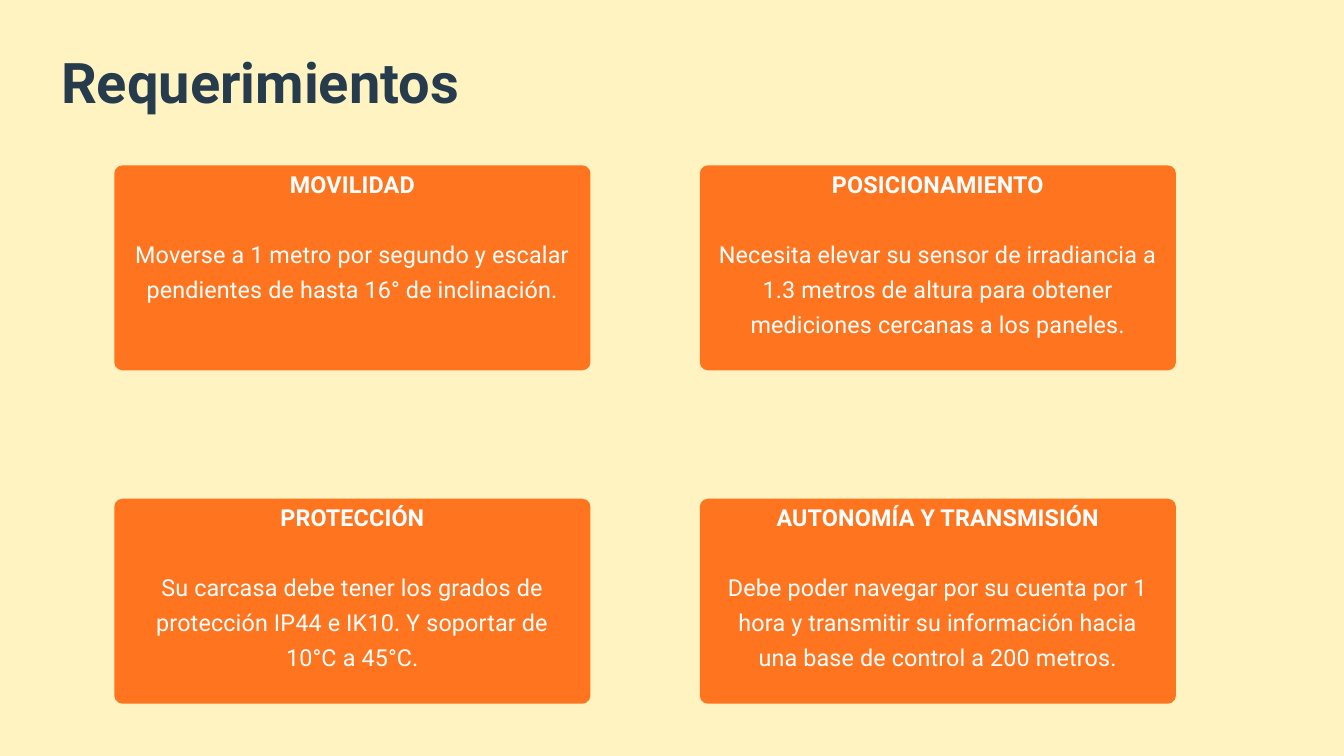
from pptx import Presentation
from pptx.dml.color import RGBColor
from pptx.enum.shapes import MSO_SHAPE
from pptx.enum.text import MSO_ANCHOR, PP_ALIGN
from pptx.util import Cm, Pt

CREAM = RGBColor(0xFF, 0xF3, 0xC2)
ORANGE = RGBColor(0xFF, 0x75, 0x1F)
NAVY = RGBColor(0x26, 0x3C, 0x4D)
WHITE = RGBColor(0xFF, 0xFF, 0xFF)
FONT = "Roboto"

REQUIREMENTS = [
    ("MOVILIDAD",
     "Moverse a 1 metro por segundo y escalar pendientes de hasta 16° de inclinación."),
    ("POSICIONAMIENTO",
     "Necesita elevar su sensor de irradiancia a 1.3 metros de altura para obtener "
     "mediciones cercanas a los paneles."),
    ("PROTECCIÓN",
     "Su carcasa debe tener los grados de protección IP44 e IK10. Y soportar de 10°C a 45°C."),
    ("AUTONOMÍA Y TRANSMISIÓN",
     "Debe poder navegar por su cuenta por 1 hora y transmitir su información hacia "
     "una base de control a 200 metros."),
]


def add_text_frame(shapes, left, top, width, height, inset):
    """Add a wrapping, top-anchored text box with equal insets."""
    tf = shapes.add_textbox(Cm(left), Cm(top), Cm(width), Cm(height)).text_frame
    tf.word_wrap = True
    tf.vertical_anchor = MSO_ANCHOR.TOP
    tf.margin_left = tf.margin_right = tf.margin_top = tf.margin_bottom = Cm(inset)
    return tf


def format_paragraph(p, size, line, color, bold, spacing=0):
    """Centre a paragraph and format its runs."""
    p.alignment = PP_ALIGN.CENTER
    p.line_spacing = Pt(line)
    for r in p.runs:
        r.font.name = FONT
        r.font.size = Pt(size)
        r.font.bold = bold
        r.font.color.rgb = color
        if spacing:
            r.font._element.set("spc", str(spacing))


def add_title(s, left, top, width, height):
    """Place the slide title in the given box."""
    tf = add_text_frame(s.shapes, left, top, width, height, 0)
    tf.text = "Requerimientos"
    format_paragraph(tf.paragraphs[0], 60, 99, NAVY, True)


def add_card(s, left, top, width, height, heading, body):
    """Place one requirement card with its heading and body."""
    shapes = s.shapes.add_group_shape().shapes
    sp = shapes.add_shape(MSO_SHAPE.ROUNDED_RECTANGLE,
                          Cm(left), Cm(top), Cm(width), Cm(height))
    sp.adjustments[0] = 0.04
    sp.shadow.inherit = False
    sp.fill.solid()
    sp.fill.fore_color.rgb = ORANGE
    sp.line.fill.background()

    rise = 0.8
    tf = add_text_frame(shapes, left, top - rise, width, height + rise, 0.71)
    tf.text = heading
    format_paragraph(tf.paragraphs[0], 25, 37.5, WHITE, True, 20)
    p = tf.add_paragraph()
    p.text = body
    p.space_before = Pt(37.5)
    format_paragraph(p, 25, 37.5, WHITE, False, 20)


def add_cards(s, left, top, width, height):
    """Lay the requirement cards out in two columns and two rows."""
    card_w, card_h = 18, 7.75
    for i, (heading, body) in enumerate(REQUIREMENTS):
        row, col = divmod(i, 2)
        add_card(s, left + col * (width - card_w), top + row * (height - card_h),
                 card_w, card_h, heading, body)


def main():
    """Build and save the requirements slide."""
    prs = Presentation()
    prs.slide_width, prs.slide_height = Cm(50.8), Cm(28.575)
    s = prs.slides.add_slide(prs.slide_layouts[6])
    s.background.fill.solid()
    s.background.fill.fore_color.rgb = CREAM
    add_title(s, 1.4, 0.84, 16.87, 3.28)
    add_cards(s, 4.32, 6.25, 40.13, 20.35)
    prs.save("out.pptx")


if __name__ == "__main__":
    main()
